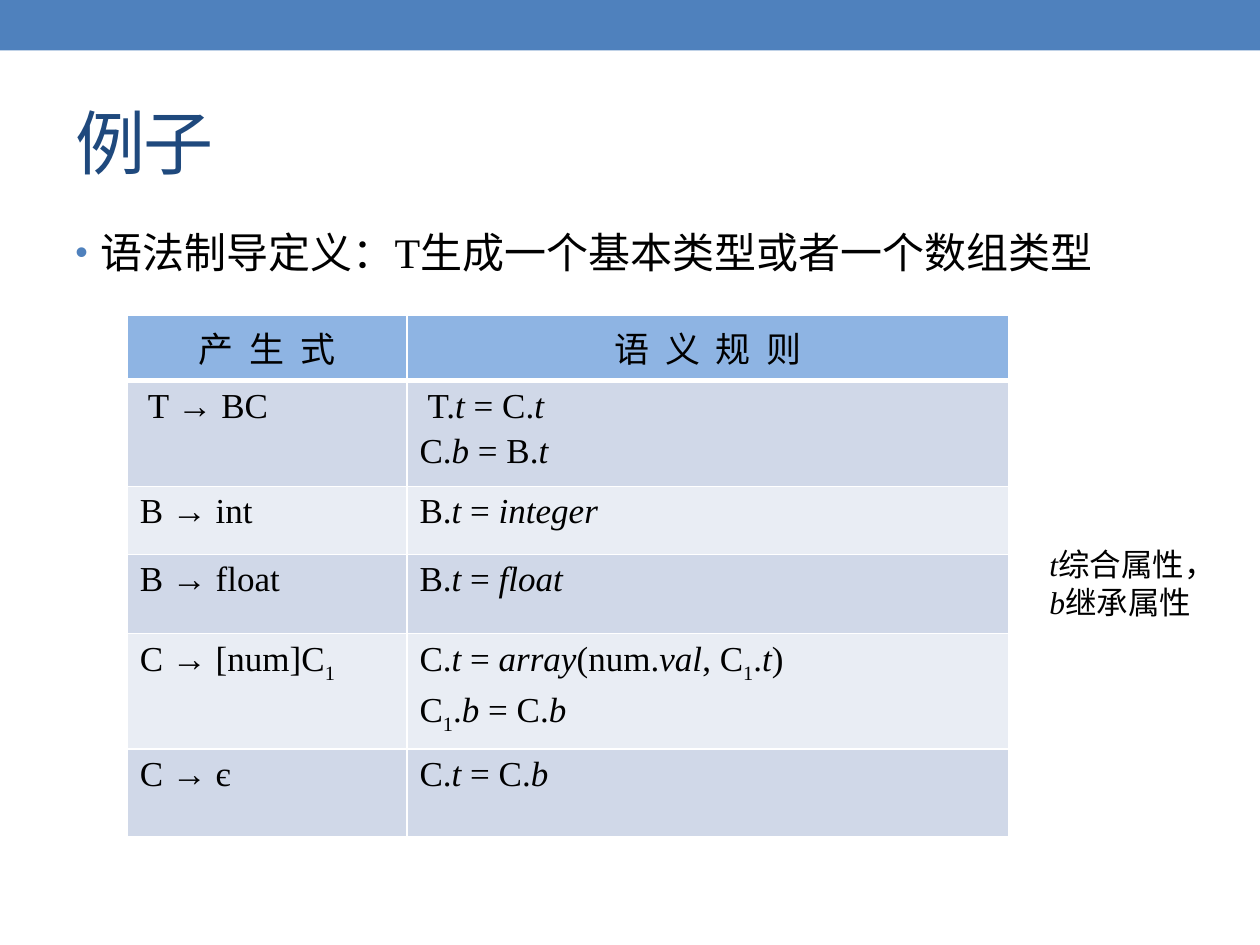
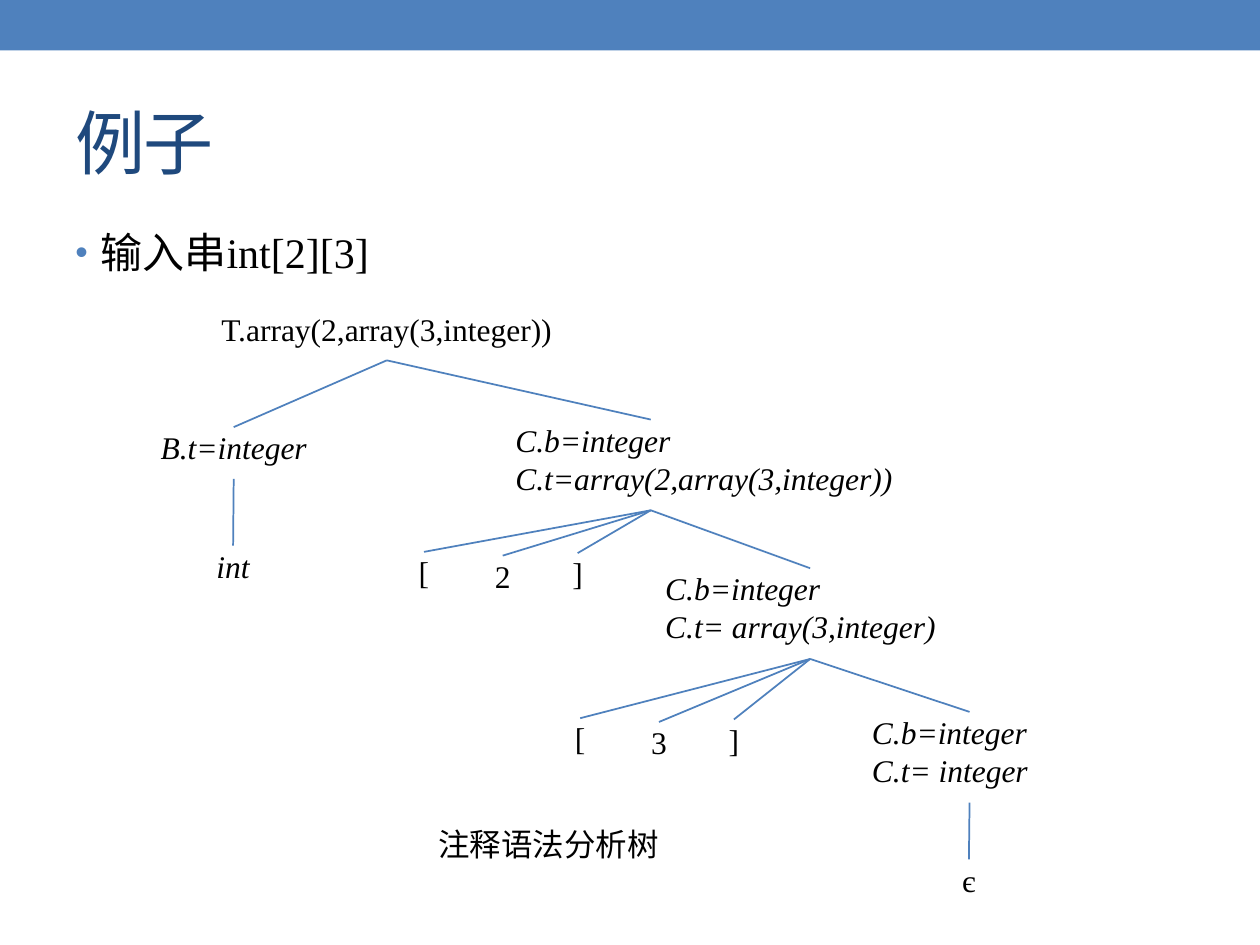
"""Build two slides on a syntax-directed definition and its annotated parse tree."""
from lxml.etree import SubElement
from pptx import Presentation
from pptx.dml.color import RGBColor
from pptx.enum.shapes import MSO_CONNECTOR as Link, MSO_SHAPE as Shape
from pptx.enum.text import MSO_ANCHOR as Anchor, PP_ALIGN as Align
from pptx.oxml.ns import qn
from pptx.util import Inches, Pt

BLUE = RGBColor(0x4F, 0x81, 0xBD)
NAVY = RGBColor(0x1F, 0x49, 0x7D)
BLACK = RGBColor(0, 0, 0)
HEAD = RGBColor(0x8E, 0xB4, 0xE3)
BANDS = RGBColor(0xD0, 0xD8, 0xE8), RGBColor(0xE9, 0xED, 0xF4)
FONT = "Times New Roman"
INSET = {"margin_left": Inches(0.02), "margin_right": Inches(0.02),
         "margin_top": Inches(0.01), "margin_bottom": Inches(0.01)}

TITLE = "例子"
LEADS = ["语法制导定义：T生成一个基本类型或者一个数组类型", "输入串int[2][3]"]
NOTE = "*t*综合属性，*b*继承属性"
LABEL = "注释语法分析树"

COLS = [2.22, 4.78]
RULES = [
    (0.52, ["产 生 式"], ["语 义 规 则"]),
    (0.84, [" T → BC"], [" T.*t *= C.*t*", "C.*b *= B.*t*"]),
    (0.54, ["B → int"], ["B.*t *= *integer*"]),
    (0.63, ["B → float"], ["B.*t *= *float*"]),
    (0.84, ["C → [num]C~1~"],
     ["C.*t *= *array*(num.*val*, C~1~.*t*)", "C~1~.*b *= C.*b*"]),
    (0.7, ["C → є"], ["C.*t *= C.*b*"]),
]

NODES = {
    "root": (None, (1.59, 2.45, 2.96, 0.41), ["T.array(2,array(3,integer))"]),
    "base": ("root", (1.11, 3.39, 1.49, 0.41), ["*B.t=integer*"]),
    "int": ("base", (1.36, 4.33, 0.98, 0.42), ["*int*"]),
    "outer": ("root", (3.07, 3.33, 4.19, 0.72),
              ["*C.b=integer*", "*C.t=array(2,array(3,integer))*"]),
    "inner": ("outer", (5.26, 4.51, 2.34, 0.72),
              ["*C.b=integer*", "*C.t= array(3,integer)*"]),
    "last": ("inner", (6.9, 5.65, 1.59, 0.72),
             ["*C.b=integer*", "*C.t= integer*"]),
    "empty": ("last", (7.2, 6.82, 0.98, 0.42), ["є"]),
}
SIZES = [("2", "outer", 2.88, 4.38), ("3", "inner", 4.12, 5.7)]
for num, top, x, y in SIZES:
    NODES["open" + num] = (top, (x, y, 0.97, 0.39), ["["])
    NODES["num" + num] = (top, (x + 0.98, y + 0.03, 0.26, 0.34), [num])
    NODES["close" + num] = (top, (x + 1.24, y + 0.01, 0.93, 0.36), ["]"])


def write(frame, lines, size, color=BLACK, align=Align.LEFT, gap=0, track=0):
    """Fill a frame; * toggles italics and ~ toggles subscript."""
    for i, line in enumerate(lines):
        para = frame.add_paragraph() if i else frame.paragraphs[0]
        para.alignment = align
        if i:
            para.space_before = Pt(gap)
        for j, part in enumerate(line.split("*")):
            for k, text in enumerate(part.split("~")):
                if not text:
                    continue
                run = para.add_run()
                run.text = text
                look = {"name": FONT, "size": Pt(size), "bold": False,
                        "italic": j % 2 == 1}
                for key, val in look.items():
                    setattr(run.font, key, val)
                run.font.color.rgb = color
                props = run._r.get_or_add_rPr()
                if k % 2:
                    props.set("baseline", "-25000")
                if track:
                    props.set("spc", str(track))


def add_text(shapes, box, lines, size, form=None, **kw):
    """Add a wrapped text box and return its frame."""
    frame = shapes.add_textbox(*map(Inches, box)).text_frame
    for key, val in {"word_wrap": True, **(form or {})}.items():
        setattr(frame, key, val)
    write(frame, lines, size, **kw)
    return frame


def indent(para, left, first=0):
    """Set the paragraph indents and return its properties."""
    props = para._p.get_or_add_pPr()
    props.set("marL", str(Inches(left)))
    props.set("indent", str(Inches(first)))
    return props


def add_page(deck, lead):
    """Add a slide with the band, the title and one bullet."""
    shapes = deck.slides.add_slide(deck.slide_layouts[6]).shapes
    band = shapes.add_shape(Shape.RECTANGLE, 0, 0, deck.slide_width, Inches(0.4))
    band.shadow.inherit = False
    band.fill.solid()
    band.fill.fore_color.rgb = BLUE
    band.line.fill.background()
    add_text(shapes, (0.5, 0.58, 9, 1.08), [TITLE], 40,
             {"vertical_anchor": Anchor.MIDDLE}, color=NAVY, track=-100)
    body = add_text(shapes, (0.5, 1.75, 9, 5.33), [lead], 24)
    props = indent(body.paragraphs[0], 0.2, -0.2)
    tint = SubElement(props, qn("a:buClr"))
    SubElement(tint, qn("a:srgbClr"), val=str(BLUE))
    SubElement(props, qn("a:buSzPct"), val="85000")
    SubElement(props, qn("a:buFont"), typeface="Arial")
    SubElement(props, qn("a:buChar"), char="•")
    return shapes


def edge(cell, side, width):
    """Draw one white border of a cell."""
    line = SubElement(cell._tc.get_or_add_tcPr(), qn("a:ln" + side),
                      w=str(Pt(width)))
    fill = SubElement(line, qn("a:solidFill"))
    SubElement(fill, qn("a:srgbClr"), val="FFFFFF")


def add_rules(shapes):
    """Add the table of productions and semantic rules."""
    high = sum(row[0] for row in RULES)
    grid = shapes.add_table(len(RULES), len(COLS), *map(
        Inches, (1.01, 2.5, sum(COLS), high))).table
    grid.first_row = grid.horz_banding = False
    for col, wide in zip(grid.columns, COLS):
        col.width = Inches(wide)
    for r, (tall, *cells) in enumerate(RULES):
        grid.rows[r].height = Inches(tall)
        for c, lines in enumerate(cells):
            cell = grid.cell(r, c)
            for side in "LRTB":
                thick = (r, side) in ((0, "B"), (1, "T"))
                edge(cell, side, 3 if thick else 1)
            cell.fill.solid()
            cell.fill.fore_color.rgb = BANDS[(r - 1) % 2] if r else HEAD
            form = {} if r else {"align": Align.CENTER, "track": 220}
            write(cell.text_frame, lines, 20, gap=4, **form)


def add_tree(shapes):
    """Add the tree nodes and join each one to its parent."""
    group = shapes.add_group_shape().shapes
    for name, (top, box, lines) in NODES.items():
        pair = len(lines) > 1
        frame = add_text(group, box, lines, 18, INSET,
                         align=Align.LEFT if pair else Align.CENTER)
        if name == "outer":
            for para in frame.paragraphs:
                indent(para, 1)
        if top:
            x, y, w, h = NODES[top][1]
            ends = x + w / 2, y + h, box[0] + box[2] / 2, box[1]
            line = group.add_connector(Link.STRAIGHT, *map(Inches, ends))
            line.line.color.rgb = BLUE
            line.line.width = Pt(1)
            SubElement(line._element.spPr, qn("a:effectLst"))


deck = Presentation()
deck.slide_width, deck.slide_height = Inches(10), Inches(7.5)
first, second = [add_page(deck, lead) for lead in LEADS]
add_rules(first)
add_text(first, (8.23, 4.28, 1.49, 0.71), [NOTE], 18)
add_tree(second)
add_text(second, (3.38, 6.5, 3.82, 0.4), [LABEL], 18)
deck.save("out.pptx")
